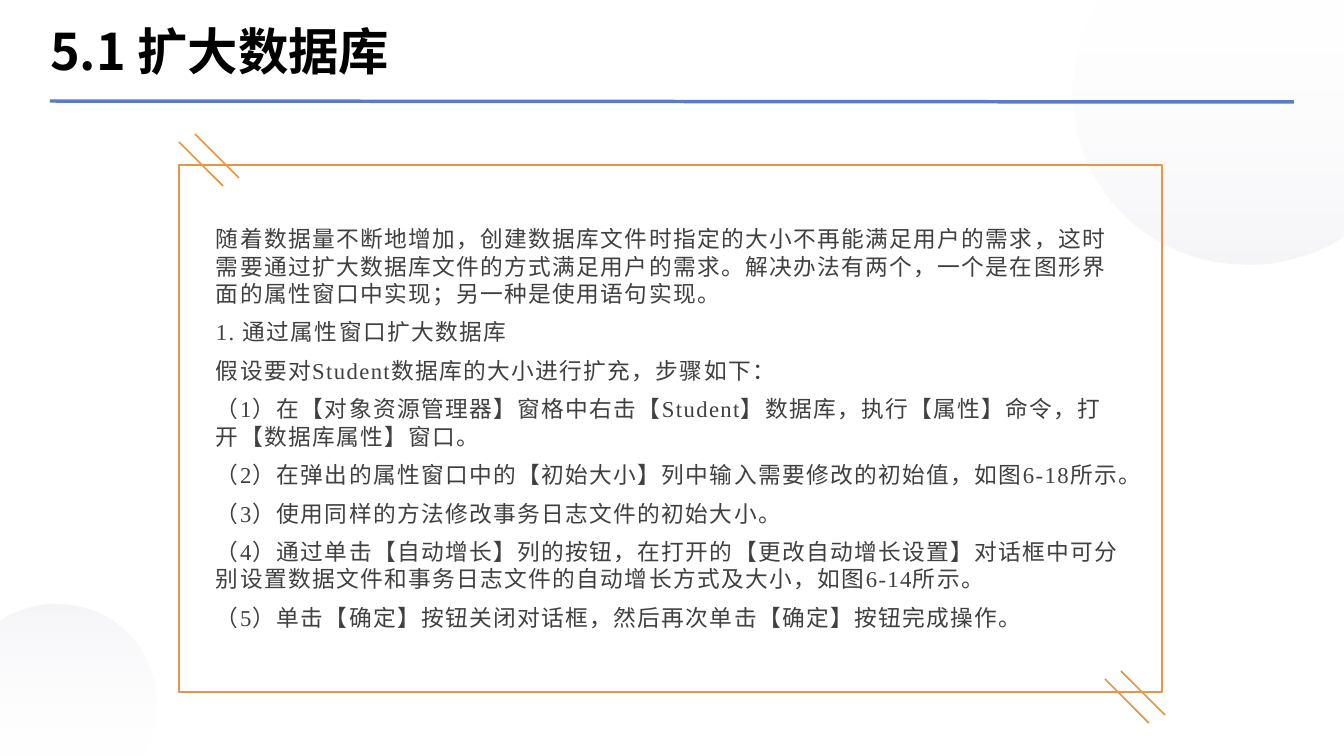
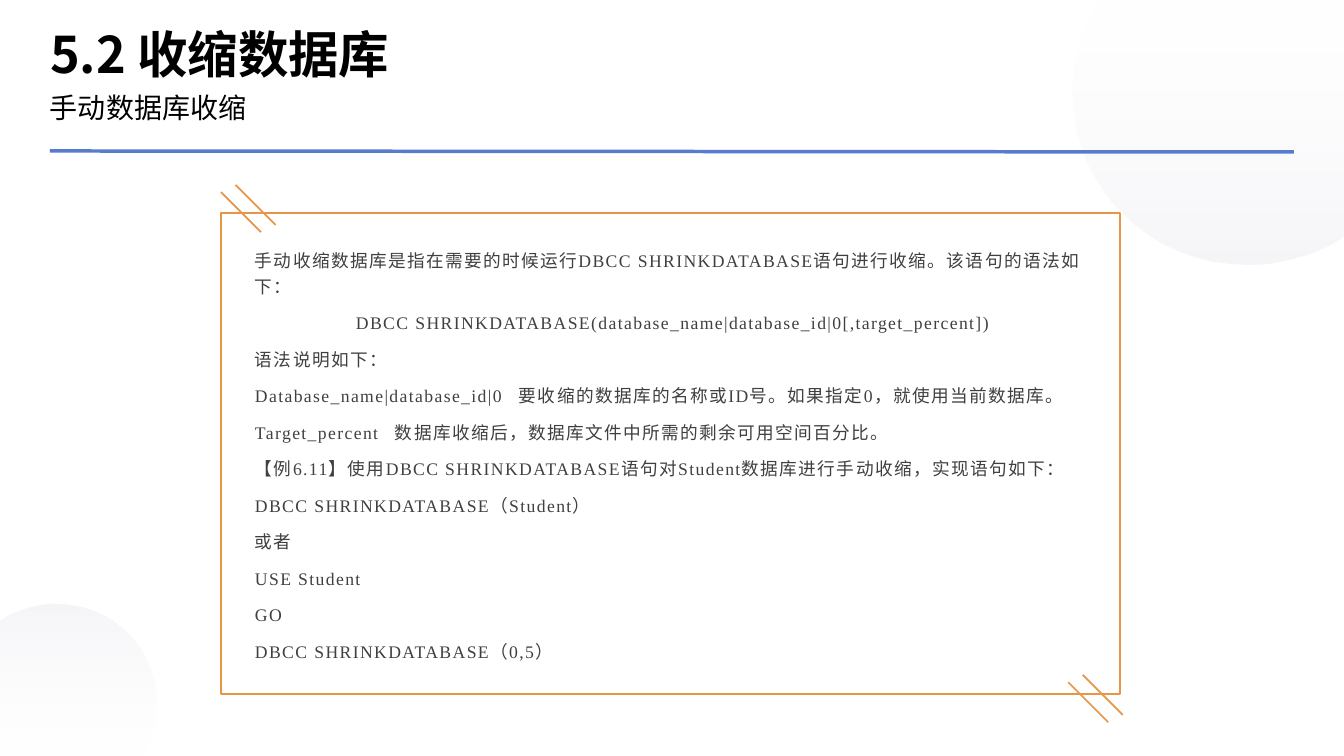
import itertools
from dataclasses import dataclass

import lxml.etree
import pptx
import pptx.dml.color
import pptx.enum.shapes
import pptx.enum.text
import pptx.oxml.ns
import pptx.util

WIDE, HIGH = 1344, 756
SCALE = 12192000 / WIDE
ANCHOR = pptx.enum.text.MSO_ANCHOR


@dataclass(frozen=True)
class Theme:
    """Colours, fonts and type sizes of the deck."""
    ink: str = "000000"
    body: str = "404040"
    rule: str = "577CCE"
    frame: str = "E79647"
    mist: tuple = (("FFFFFF", 10), ("D8D8E4", 24))
    sans: str = "Noto Sans CJK SC"
    serif: str = "Times New Roman"
    head: float = 36
    sub: float = 20
    large: float = 16.2
    small: float = 12.6


THEME = Theme()
UPPER = (
    ((1101, 0),), ((1344, 0),), ((1344, 236),), ((1331, 244),),
    ((1305, 257), (1277, 265), (1247, 265)),
    ((1150, 265), (1073, 188), (1073, 93)),
    ((1073, 64), (1080, 35), (1094, 11)),
)
LOWER = (
    ((140, 756),), ((0, 756),), ((0, 621),), ((8, 616),),
    ((22, 609), (38, 604), (55, 604)),
    ((111, 604), (156, 648), (156, 703)),
    ((156, 720), (151, 736), (144, 750)),
)
MARKS = ((0, 0, 16, -31), (0, 0, 0, -23), (1, 1, -41, -21), (1, 1, -57, -13))

GROW = [
    "随着数据量不断地增加，创建数据库文件时指定的大小不再能满足用户的需求，这时需要通过扩大数据库文件的方式满足用户的需求。解决办法有两个，一个是在图形界面的属性窗口中实现；另一种是使用语句实现。",
    "1. 通过属性窗口扩大数据库",
    "假设要对Student数据库的大小进行扩充，步骤如下：",
    "（1）在【对象资源管理器】窗格中右击【Student】数据库，执行【属性】命令，打开【数据库属性】窗口。",
    "（2）在弹出的属性窗口中的【初始大小】列中输入需要修改的初始值，如图6-18所示。",
    "（3）使用同样的方法修改事务日志文件的初始大小。",
    "（4）通过单击【自动增长】列的按钮，在打开的【更改自动增长设置】对话框中可分别设置数据文件和事务日志文件的自动增长方式及大小，如图6-14所示。",
    "（5）单击【确定】按钮关闭对话框，然后再次单击【确定】按钮完成操作。",
]
SHRINK = [
    "手动收缩数据库是指在需要的时候运行DBCC SHRINKDATABASE语句进行收缩。该语句的语法如下：",
    "DBCC SHRINKDATABASE(database_name|database_id|0[,target_percent])",
    "语法说明如下：",
    "Database_name|database_id|0\t要收缩的数据库的名称或ID号。如果指定0，就使用当前数据库。",
    "Target_percent\t数据库收缩后，数据库文件中所需的剩余可用空间百分比。",
    "【例6.11】使用DBCC SHRINKDATABASE语句对Student数据库进行手动收缩，实现语句如下：",
    "DBCC SHRINKDATABASE（Student）",
    "或者",
    "USE Student",
    "GO",
    "DBCC SHRINKDATABASE（0,5）",
]


def px(num):
    """Turn pixels into EMU."""
    return pptx.util.Emu(round(num * SCALE))


def rgb(code):
    """Turn a hex code into a colour."""
    return pptx.dml.color.RGBColor.from_string(code)


def node(root, tag, **attrs):
    """Append a drawing element to root."""
    item = lxml.etree.SubElement(root, pptx.oxml.ns.qn(tag))
    for key, val in attrs.items():
        item.set(key, str(val))
    return item


def write(shape, lines, size, *, font=THEME.sans, color=THEME.ink, bold=False,
          anchor=ANCHOR.TOP, inset=(0, 0), lead=None, after=0, track=0,
          dents=None, tabs=None):
    """Fill a shape with formatted paragraphs."""
    frame = shape.text_frame
    frame.word_wrap = True
    frame.auto_size = pptx.enum.text.MSO_AUTO_SIZE.NONE
    frame.vertical_anchor = anchor
    frame.margin_left = frame.margin_right = px(inset[0])
    frame.margin_top = frame.margin_bottom = px(inset[1])
    for num, line in enumerate(lines):
        para = frame.add_paragraph() if num else frame.paragraphs[0]
        para.alignment = pptx.enum.text.PP_ALIGN.LEFT
        para.space_before = pptx.util.Pt(0)
        para.space_after = pptx.util.Pt(after)
        if lead:
            para.line_spacing = lead
        props = para._p.get_or_add_pPr()
        if num in (dents or {}):
            props.set("marL", str(px(dents[num])))
        if num in (tabs or {}):
            stops = node(props, "a:tabLst")
            node(stops, "a:tab", pos=px(tabs[num]), algn="l")
        run = para.add_run()
        run.text = line
        run.font.size = pptx.util.Pt(size)
        run.font.bold = bold
        run.font.name = font
        run.font.color.rgb = rgb(color)
        marks = run._r.get_or_add_rPr()
        node(marks, "a:ea", typeface=THEME.sans)
        if track:
            marks.set("spc", str(track * 100))


def box(slide, x, y, wide, high):
    """Add an empty text box."""
    return slide.shapes.add_textbox(px(x), px(y), px(wide), px(high))


def line(slide, start, end, color, width):
    """Draw a straight line."""
    kind = pptx.enum.shapes.MSO_CONNECTOR.STRAIGHT
    item = slide.shapes.add_connector(kind, *map(px, (*start, *end)))
    item.line.color.rgb = rgb(color)
    item.line.width = pptx.util.Pt(width)
    node(item._element.spPr, "a:effectLst")


def spin(parts):
    """Turn an outline half way round inside its bounds."""
    dots = list(itertools.chain(*parts))
    wide, high = (min(axis) + max(axis) for axis in zip(*dots))
    return [[(wide - x, high - y) for x, y in part] for part in parts]


def curve(shape, parts):
    """Join each three segments of a curved part into one Bezier."""
    segs = iter(list(shape._element.iter(pptx.oxml.ns.qn("a:lnTo"))))
    for part in parts:
        group = list(itertools.islice(segs, len(part)))
        if len(part) == 3:
            bend = lxml.etree.Element(pptx.oxml.ns.qn("a:cubicBezTo"))
            group[0].addprevious(bend)
            for seg in group:
                bend.append(seg[0])
                seg.getparent().remove(seg)


def disc(slide, parts, turn=0):
    """Draw a pale disc cut off at the slide edges."""
    parts = spin(parts) if turn else parts
    dots = [(px(x), px(y)) for x, y in itertools.chain(*parts)]
    pen = slide.shapes.build_freeform(*dots[0])
    pen.add_line_segments(dots[1:], close=True)
    shape = pen.convert_to_shape()
    curve(shape, parts[1:])
    shape.rotation = turn
    shape.shadow.inherit = False
    shape.line.fill.background()
    shape.fill.gradient()
    shape.fill.gradient_angle = 270
    for stop, (code, _) in zip(shape.fill.gradient_stops, THEME.mist):
        stop.color.rgb = rgb(code)
    tints = shape._element.spPr.iter(pptx.oxml.ns.qn("a:srgbClr"))
    for tint, (_, part) in zip(list(tints), THEME.mist):
        node(tint, "a:alpha", val=part * 1000)


def panel(slide, x, y, wide, high, unit):
    """Draw the framed panel with its corner strokes."""
    kind = pptx.enum.shapes.MSO_SHAPE.RECTANGLE
    rect = slide.shapes.add_shape(kind, *map(px, (x, y, wide, high)))
    rect.shadow.inherit = False
    rect.fill.background()
    rect.line.color.rgb = rgb(THEME.frame)
    rect.line.width = pptx.util.Pt(1.5)
    ratio = unit / 44
    for right, low, dx, dy in MARKS:
        left = x + right * wide + dx * ratio
        top = y + low * high + dy * ratio
        line(slide, (left, top), (left + unit, top + unit), THEME.frame, 1.25)


def page(deck, title, level, anchor):
    """Add a slide with discs, rule and title."""
    slide = deck.slides.add_slide(deck.slide_layouts[5])
    disc(slide, UPPER)
    disc(slide, LOWER, 180)
    line(slide, (50, level), (1294, level + 1), THEME.rule, 2.5)
    head = slide.shapes.title
    head.left, head.top, head.width, head.height = map(px, (50, 17, 1243, 67))
    write(head, [title], THEME.head, bold=True, anchor=anchor)
    return slide


def prose(slide, area, lines, size, lead, **form):
    """Write the body text of a panel."""
    write(box(slide, *area), lines, size, font=THEME.serif, color=THEME.body,
          anchor=ANCHOR.MIDDLE, inset=(7, 3), lead=pptx.util.Pt(lead),
          after=8, track=1, **form)


def main():
    """Build and save the deck."""
    deck = pptx.Presentation()
    deck.slide_width, deck.slide_height = px(WIDE), px(HIGH)

    slide = page(deck, "5.1 扩大数据库", 101, ANCHOR.MIDDLE)
    panel(slide, 179, 165, 983, 527, 44)
    prose(slide, (209, 218, 924, 420), GROW, THEME.large, 19.5)

    slide = page(deck, "5.2 收缩数据库", 151, ANCHOR.BOTTOM)
    write(box(slide, 50, 84, 1243, 50), ["手动数据库收缩"], THEME.sub, lead=1.2)
    panel(slide, 221, 213, 899, 481, 40)
    prose(slide, (248, 237, 845, 434), SHRINK, THEME.small, 18.1,
          dents={1: 101}, tabs={3: 264, 4: 140})

    deck.save("out.pptx")


if __name__ == "__main__":
    main()
